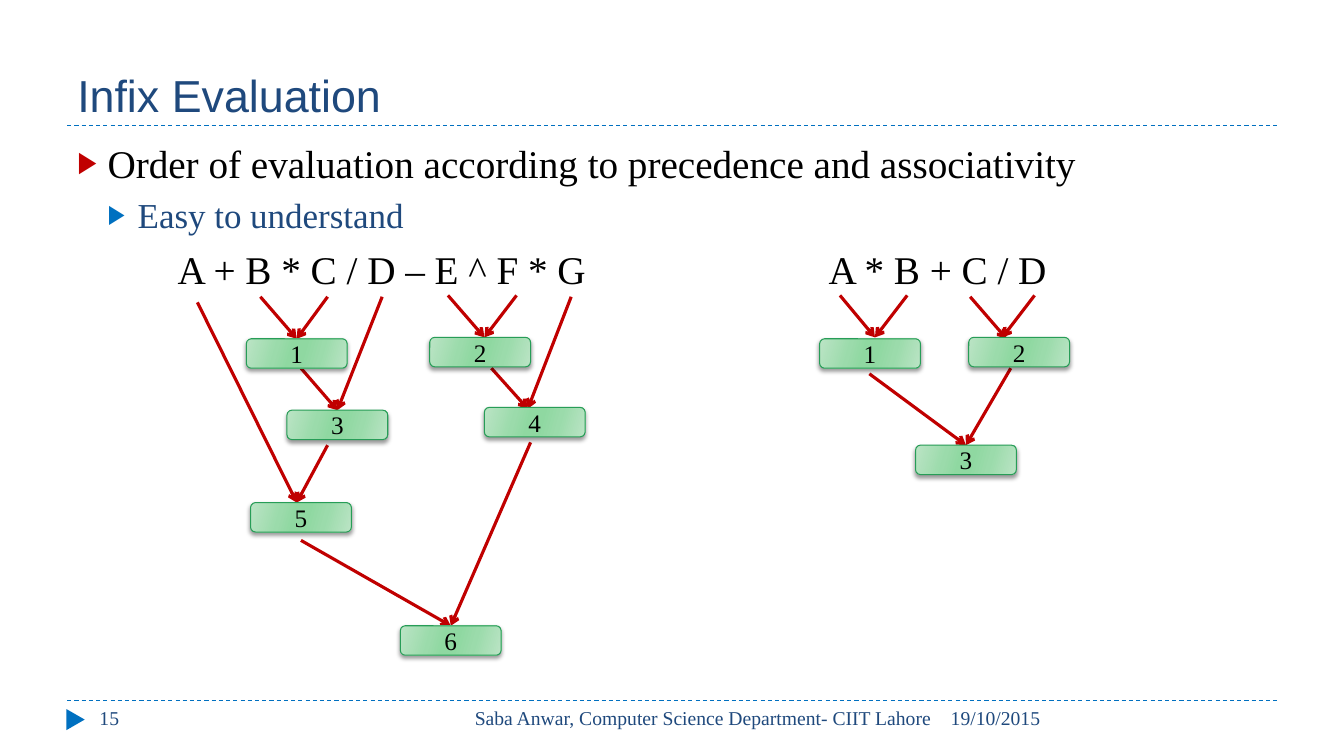
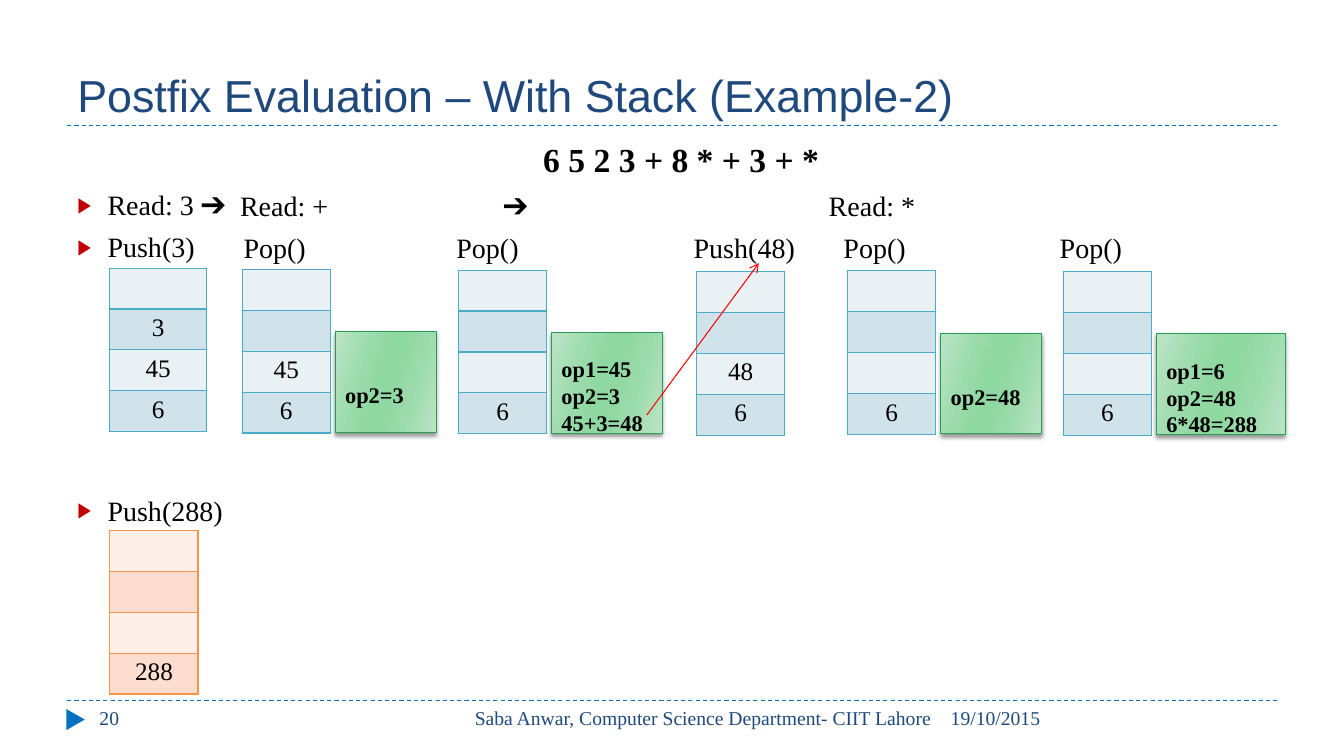
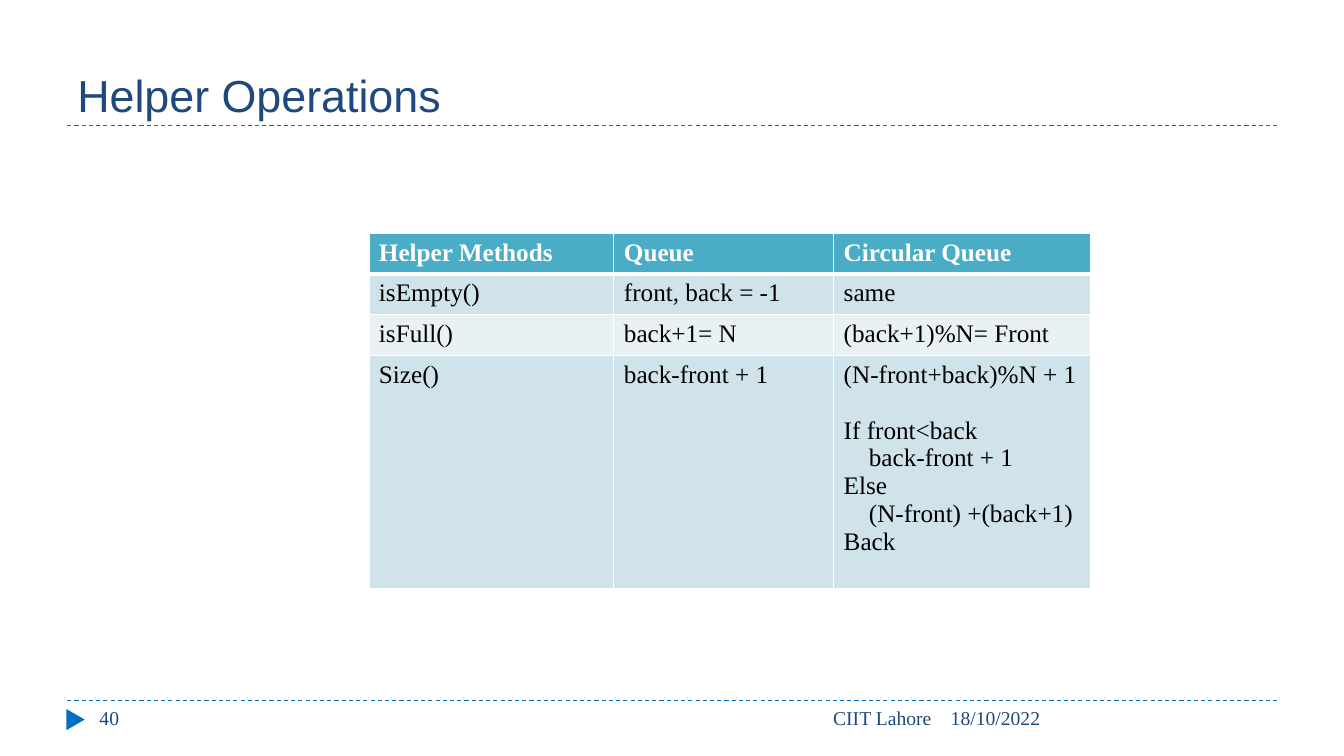
import dataclasses
import pptx
import pptx.dml.color
import pptx.enum.dml
import pptx.enum.shapes
import pptx.enum.text
import pptx.oxml
import pptx.oxml.ns
import pptx.util

Pt = pptx.util.Pt
ALIGN = pptx.enum.text.PP_ALIGN
ANCHOR = pptx.enum.text.MSO_ANCHOR
SHAPE = pptx.enum.shapes.MSO_SHAPE
STRAIGHT = pptx.enum.shapes.MSO_CONNECTOR.STRAIGHT
qn = pptx.oxml.ns.qn


@dataclasses.dataclass(frozen=True)
class Theme:
    head_font: str = "Arial"
    text_font: str = "Times New Roman"
    navy: str = "1F497D"
    blue: str = "0070C0"
    red: str = "C00000"
    bright_red: str = "FF0000"
    black: str = "000000"
    white: str = "FFFFFF"
    green: str = "279D57"
    teal: str = "4BACC6"
    orange: str = "F79646"
    teal_bands: tuple = ("E9F1F5", "D0E3EA")
    orange_bands: tuple = ("FDEFE9", "FCDDCF")
    green_stops: tuple = ((0, "BBE4C5"), (30, "9BDBAB"), (45, "8FD8A1"),
                          (55, "8FD8A1"), (73, "9BDBAB"), (100, "BBE4C5"))
    title: int = 32
    large: int = 28
    sub: int = 25
    formula: int = 24
    step: int = 20
    cell: int = 18
    op: int = 16
    footer: int = 14


T = Theme()
ROW_H = 29.2


def rgb(value):
    return pptx.dml.color.RGBColor.from_string(value)


def sub(parent, tag, **attrs):
    el = parent.makeelement(qn(tag), {k: str(v) for k, v in attrs.items()})
    parent.append(el)
    return el


def add_run(p, text, size, color=T.black, font=T.text_font, bold=False):
    r = p.add_run()
    r.text = text
    r.font.size = Pt(size)
    r.font.name = font
    r.font.bold = bold
    r.font.color.rgb = rgb(color)


def each_paragraph(tf, items):
    for i, item in enumerate(items):
        yield i, tf.add_paragraph() if i else tf.paragraphs[0], item


def place(shape, x, y, w, h):
    shape.left, shape.top, shape.width, shape.height = Pt(x), Pt(y), Pt(w), Pt(h)


def label(s, x, y, w, h, text, size, color=T.black, align=ALIGN.LEFT, inset=(0, 0)):
    tf = s.shapes.add_textbox(Pt(x), Pt(y), Pt(w), Pt(h)).text_frame
    tf.word_wrap = True
    tf.margin_left = tf.margin_right = Pt(inset[0])
    tf.margin_top = tf.margin_bottom = Pt(inset[1])
    p = tf.paragraphs[0]
    p.alignment = align
    add_run(p, text, size, color)


def add_line(s, start, end, color, width, arrow=True):
    c = s.shapes.add_connector(STRAIGHT, *(Pt(v) for v in (*start, *end)))
    c.line.color.rgb = rgb(color)
    c.line.width = Pt(width)
    sub(c._element.spPr, "a:effectLst")
    if arrow:
        sub(c.line._get_or_add_ln(), "a:tailEnd", type="arrow")
    else:
        c.line.dash_style = pptx.enum.dml.MSO_LINE.DASH
    return c


def green_box(s, kind, x, y, w, h):
    b = s.shapes.add_shape(kind, Pt(x), Pt(y), Pt(w), Pt(h))
    b.fill.gradient()
    b.fill.gradient_angle = 344
    stops = b._element.spPr.find(".//" + qn("a:gsLst"))
    for old in list(stops):
        stops.remove(old)
    for pos, color in T.green_stops:
        sub(sub(stops, "a:gs", pos=pos * 1000), "a:srgbClr", val=color)
    b.line.color.rgb = rgb(T.green)
    b.line.width = Pt(0.75)
    b.shadow.inherit = False
    shadow = sub(b._element.spPr.find(qn("a:effectLst")), "a:outerShdw",
                 blurRad=Pt(3), dist=Pt(2), dir=5400000, rotWithShape=0)
    sub(sub(shadow, "a:srgbClr", val=T.black), "a:alpha", val=40000)
    return b


def base_slide(prs, layout, title, number, author, date):
    s = prs.slides.add_slide(prs.slide_layouts[layout])
    for y in (89.8, 500.5):
        add_line(s, (48, y), (912, y), T.blue, 0.75, arrow=False)
    marker = s.shapes.add_shape(SHAPE.ISOSCELES_TRIANGLE, Pt(46.5), Pt(507.5), Pt(15), Pt(13))
    marker.rotation = 90
    marker.fill.solid()
    marker.fill.fore_color.rgb = rgb(T.blue)
    marker.line.fill.background()
    marker.shadow.inherit = False
    place(s.shapes.title, 48, 12, 864, 78.5)
    tf = s.shapes.title.text_frame
    tf.auto_size = pptx.enum.text.MSO_AUTO_SIZE.NONE
    tf.vertical_anchor = ANCHOR.BOTTOM
    p = tf.paragraphs[0]
    p.alignment = ALIGN.LEFT
    add_run(p, title, T.title, T.navy, T.head_font)
    for x, w, text, align in ((64, 208, number, ALIGN.LEFT),
                              (304.5, 368, author, ALIGN.RIGHT),
                              (672, 240, date, ALIGN.LEFT)):
        label(s, x, 500.5, w, 29, text, T.footer, T.navy, align, (7.2, 3.6))
    return s


def body_frame(s, width):
    body = s.placeholders[1]
    place(body, 48, 95.8, width, 389)
    tf = body.text_frame
    tf.auto_size = pptx.enum.text.MSO_AUTO_SIZE.NONE
    tf.vertical_anchor = ANCHOR.TOP
    return tf


def indent(p, level, bullet=None):
    pPr = p._p.get_or_add_pPr()
    pPr.set("marL", str(Pt(21.6 * level)))
    pPr.set("indent", str(Pt(-21.6 if bullet else 0)))
    if bullet:
        sub(sub(pPr, "a:buClr"), "a:srgbClr", val=bullet)
        sub(pPr, "a:buSzPct", val=76000)
        sub(pPr, "a:buChar", char="▶")
    else:
        sub(pPr, "a:buNone")


def style_cell(cell, fill, border, bottom=1):
    tcPr = cell._tc.get_or_add_tcPr()
    for side, width in (("L", 1), ("R", 1), ("T", 1), ("B", bottom)):
        ln = sub(tcPr, "a:ln" + side, w=Pt(width))
        sub(sub(ln, "a:solidFill"), "a:srgbClr", val=border)
    cell.fill.solid()
    cell.fill.fore_color.rgb = rgb(fill)


def add_grid(s, x, y, widths, heights):
    t = s.shapes.add_table(len(heights), len(widths), Pt(x), Pt(y),
                           Pt(sum(widths)), Pt(sum(heights))).table
    t.first_row = t.horz_banding = False
    for col, w in zip(t.columns, widths):
        col.width = Pt(w)
    for row, h in zip(t.rows, heights):
        row.height = Pt(h)
    return t


def stack(s, x, y, w, values, border=T.teal, bands=T.teal_bands):
    t = add_grid(s, x, y, [w], [ROW_H] * 4)
    for i in range(4):
        cell = t.cell(i, 0)
        style_cell(cell, bands[i % 2], border)
        p = cell.text_frame.paragraphs[0]
        p.alignment = ALIGN.CENTER
        filled = i - (4 - len(values))
        if filled >= 0:
            add_run(p, values[filled], T.cell)


def op_box(s, x, y, w, lines):
    tf = green_box(s, SHAPE.RECTANGLE, x, y, w, 72).text_frame
    tf.word_wrap = True
    tf.vertical_anchor = ANCHOR.MIDDLE
    tf.margin_top, tf.margin_bottom = Pt(18.4), Pt(0)
    for i, p, line in each_paragraph(tf, lines):
        p.alignment = ALIGN.LEFT
        add_run(p, line, T.op, bold=True)


def stack_step(s, x, y, w, values, name="", name_dx=0, op_width=0, op_lines=()):
    if name:
        label(s, x + name_dx, 164.6, 100, 23, name, T.step)
    stack(s, x, y, w, values)
    if op_lines:
        op_box(s, x + w + 3.5, y + 44.5, op_width, op_lines)


def evaluation_tree(s, x, y, expression, boxes, arrows):
    label(s, x, y - 2, 330, 33, expression, T.large)
    lines = [(end, add_line(s, (x + start[0], y + start[1]),
                            (x + end[0], y + end[1]), T.red, 2.25))
             for end, starts in arrows for start in starts]
    for i, (dx, dy) in enumerate(boxes, 1):
        b = green_box(s, SHAPE.ROUNDED_RECTANGLE, x + dx, y + dy, 72, 21)
        tf = b.text_frame
        tf.vertical_anchor = ANCHOR.MIDDLE
        p = tf.paragraphs[0]
        p.alignment = ALIGN.CENTER
        add_run(p, str(i), T.cell)
        for end, c in lines:
            if end == (dx + 36, dy):
                c.end_connect(b, 0)


def infix_slide(prs, author):
    s = base_slide(prs, 1, "Infix Evaluation", "15", author, "19/10/2015")
    items = (("Order of evaluation according to precedence and associativity",
              T.large, T.black, T.red),
             ("Easy to understand", T.sub, T.navy, T.blue))
    for i, p, (text, size, color, bullet) in each_paragraph(body_frame(s, 864), items):
        p.level = i
        p.space_before = Pt(5 * i)
        indent(p, i + 1, bullet)
        add_run(p, text, size, color)
    evaluation_tree(
        s, 127, 177, "A + B * C / D – E ^ F * G",
        [(49, 65), (180, 64), (78, 116), (219, 114), (52, 182), (159, 270)],
        [((85, 65), [(59, 35), (107, 35)]),
         ((219, 64), [(193, 34), (242, 34)]),
         ((114, 116), [(88, 86), (146, 35)]),
         ((250, 115), [(224, 86), (281, 35)]),
         ((85, 182), [(14, 39), (107, 141)]),
         ((195, 270), [(252, 139), (88, 209)])])
    evaluation_tree(
        s, 592, 177, "A * B + C / D",
        [(-6.5, 65), (100, 64), (62, 141)],
        [((33, 64), [(8, 34), (56, 34)]),
         ((127, 65), [(101, 35)]),
         ((124, 64), [(147, 34)]),
         ((98, 141), [(29, 90), (130, 86)])])


def postfix_slide(prs, author):
    s = base_slide(prs, 1, "Postfix Evaluation – With Stack (Example-2)", "20",
                   author, "19/10/2015")
    items = (("6 5 2 3 + 8 * + 3 + *", 0), ("Read: 3 ➔", 6), ("Push(3)", 6),
             ("Push(288)", 164))
    for i, p, (text, before) in each_paragraph(body_frame(s, 877), items):
        p.space_before = Pt(before)
        if i:
            indent(p, 1, T.red)
            add_run(p, text, T.step)
        else:
            p.alignment = ALIGN.CENTER
            indent(p, 0)
            add_run(p, text, T.formula, bold=True)
    for x, text in ((171.5, "Read: +"), (359.5, "➔"), (592, "Read: *")):
        label(s, x, 134.6, 100, 23, text, T.step)
    steps = (
        (78.5, 191.5, 69, ("3", "45", "6")),
        (173, 192.5, 63, ("45", "6"), "Pop()", 1, 72, ("op2=3",)),
        (327.5, 193, 63, ("6",), "Pop()", -1.5, 79, ("op1=45", "op2=3", "45+3=48")),
        (497.5, 194, 63, ("48", "6"), "Push(48)", -2),
        (605.5, 193.5, 63, ("6",), "Pop()", -3, 72, ("op2=48",)),
        (759.5, 194, 63, ("6",), "Pop()", -2.5, 92, ("op1=6", "op2=48", "6*48=288")))
    for step in steps:
        stack_step(s, *step)
    stack(s, 78.5, 379, 63, ("288",), T.orange, T.orange_bands)
    add_line(s, (462, 296.5), (542, 188), T.bright_red, 0.75)


def helper_slide(prs):
    s = base_slide(prs, 5, "Helper Operations", "40", "CIIT Lahore", "18/10/2022")
    size_code = ("(N-front+back)%N + 1", "If front<back", "    back-front + 1",
                 "Else", "    (N-front) +(back+1)", "Back")
    rows = ((("Helper Methods",), ("Queue",), ("Circular Queue",)),
            (("isEmpty()",), ("front, back = -1",), ("same",)),
            (("isFull()",), ("back+1= N",), ("(back+1)%N= Front",)),
            (("Size()",), ("back-front + 1",), size_code))
    t = add_grid(s, 263.5, 166.8, (175, 157, 183.5), (28.5, ROW_H, ROW_H, 166.5))
    for i, row in enumerate(rows):
        head = i == 0
        for j, lines in enumerate(row):
            cell = t.cell(i, j)
            style_cell(cell, T.teal if head else T.teal_bands[i % 2], T.white,
                       3 if head else 1)
            for k, p, line in each_paragraph(cell.text_frame, lines):
                p.space_before = Pt(20 if k == 1 else 0)
                add_run(p, line, T.cell, T.white if head else T.black, bold=head)


def main():
    prs = pptx.Presentation()
    prs.slide_width, prs.slide_height = Pt(960), Pt(540)
    author = "Saba Anwar, Computer Science Department- CIIT Lahore"
    infix_slide(prs, author)
    postfix_slide(prs, author)
    helper_slide(prs)
    prs.save("out.pptx")


if __name__ == "__main__":
    main()
